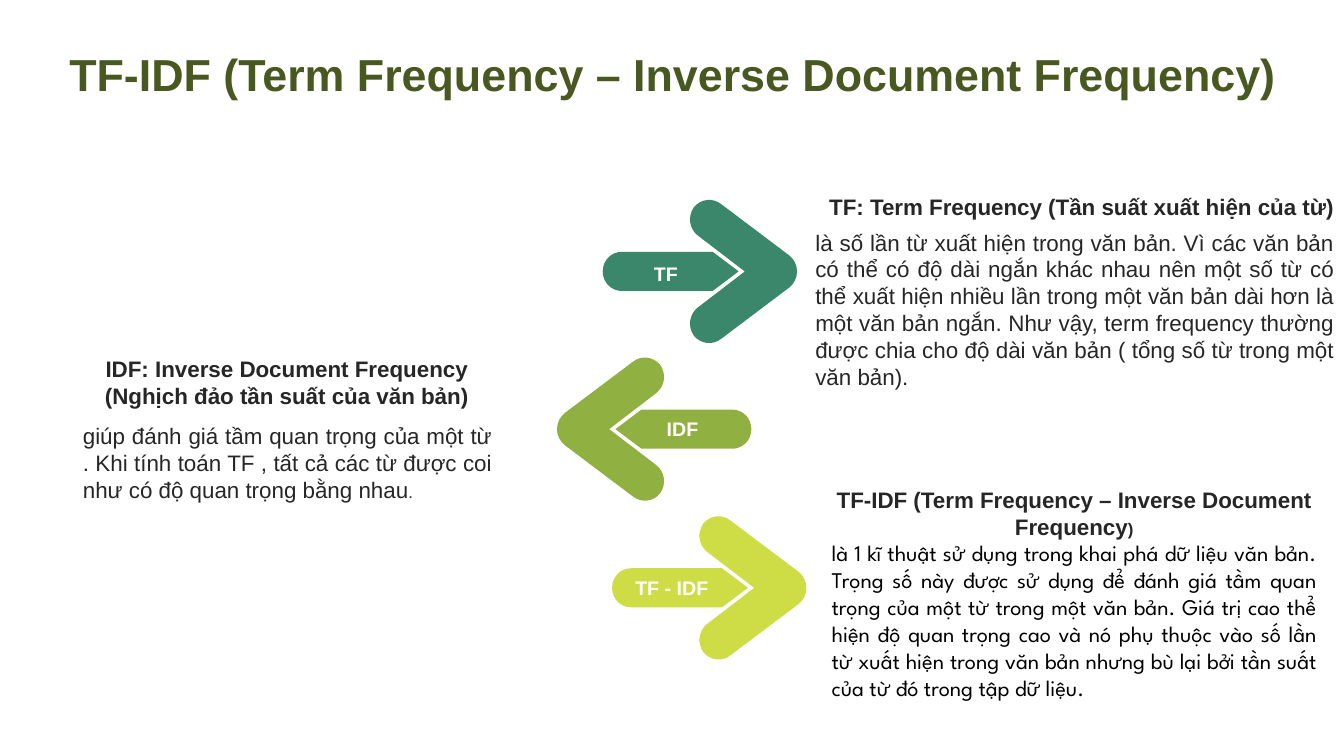
from math import cos, radians, sin

from pptx import Presentation
from pptx.dml.color import RGBColor
from pptx.enum.text import MSO_ANCHOR, MSO_AUTO_SIZE, PP_ALIGN
from pptx.oxml.ns import qn
from pptx.util import Pt

HEAD = [[(69.7, 0)], [(69.7, 4.5), (67.7, 8.6), (64.1, 11.5)], [(15.8, 47.9)],
        [(9.6, 53), (0.9, 51.9), (-4, 45.8)],
        [(-8.6, 39.2), (-7.2, 30.6), (-1.4, 25.9)], [(32.4, 0)]]
SHAFT = [[(28, 0)], [(9.4, 14)], [(-55.4, 14)], [(-63, 14), (-69.1, 7.9), (-69.1, 0)]]
PARTS = [(HEAD, 142.9), (SHAFT, 90)]

ARROWS = [
    ("TF", "3A876B", (499.6, 193.9), 0, (475.6, 195.5)),
    ("IDF", "90B141", (467.6, 306.5), 180, (487.5, 306.4)),
    ("TF - IDF", "CEDD46", (506.3, 419.9), 0, (479.9, 420)),
]
SECTIONS = [
    dict(box=(575, 134.3, 385, 149.3), offset=(0.3, 25.5), align=PP_ALIGN.RIGHT,
         heading=[("TF: Term Frequency (Tần suất xuất hiện của từ)", 16)],
         body=[("là số lần từ xuất hiện trong văn bản. Vì các văn bản có thể có độ dài "
                "ngắn khác nhau nên một số từ có thể xuất hiện nhiều lần trong một văn bản "
                "dài hơn là một văn bản ngắn. Như vậy, term frequency thường được chia cho "
                "độ dài văn bản ( tổng số từ trong một văn bản).", 16)]),
    dict(box=(51.2, 250.1, 307.4, 113.6), offset=(0.9, 48), align=PP_ALIGN.CENTER,
         heading=[("IDF: Inverse Document Frequency (Nghịch đảo tần suất của văn bản)", 16)],
         body=[("giúp đánh giá tầm quan trọng của một từ . Khi tính toán TF , tất cả các "
                "từ được coi như có độ quan trọng bằng nhau", 16), (".", 12)]),
    dict(box=(586.8, 343.7, 361, 181.5), offset=(0.2, 38.1), align=PP_ALIGN.CENTER,
         heading=[("TF-IDF (Term Frequency – Inverse Document Frequency", 16), (")", 12)],
         body=[("là 1 kĩ thuật sử dụng trong khai phá dữ liệu văn bản. Trọng số này được "
                "sử dụng để đánh giá tầm quan trọng của một từ trong một văn bản. Giá trị "
                "cao thể hiện độ quan trọng cao và nó phụ thuộc vào số lần từ xuất hiện "
                "trong văn bản nhưng bù lại bởi tần suất của từ đó trong tập dữ liệu.", 16)],
         body_font="League Spartan", body_color="000000"),
]


def color(value):
    return RGBColor.from_string(value)


def add_text(slide, box, runs, fill, align, bold=False, font="Arial",
             inset=7.2, anchor=MSO_ANCHOR.TOP, auto_size=MSO_AUTO_SIZE.SHAPE_TO_FIT_TEXT):
    tf = slide.shapes.add_textbox(*map(Pt, box)).text_frame
    tf.word_wrap = True
    tf.auto_size = auto_size
    tf.vertical_anchor = anchor
    tf.margin_left = tf.margin_right = Pt(inset)
    p = tf.paragraphs[0]
    p.alignment = align
    p.font.name = font
    p.font.bold = bold
    p.font.color.rgb = color(fill)
    for text, size in runs:
        r = p.add_run()
        r.text = text
        r.font.size = Pt(size)
    return p


def rotate(point, angle):
    x, y = point
    c, s = cos(radians(angle)), sin(radians(angle))
    return x * c - y * s, x * s + y * c


def mirror_half(half):
    back = []
    for before, segment in zip(half[-2::-1], half[:0:-1]):
        points = segment[-2::-1] + [before[-1]]
        back.append([(x, -y) for x, y in points])
    return half + back


def curve_segments(sp, segments):
    path = next(sp._element.iter(qn("a:path")))
    lines = iter(path.findall(qn("a:lnTo")))
    for segment in segments:
        first = next(lines)
        if len(segment) == 3:
            first.tag = qn("a:cubicBezTo")
            for _ in range(2):
                line = next(lines)
                first.append(line[0])
                path.remove(line)


def add_part(slide, half, angle, turn, center, fill):
    outline = mirror_half(half)
    points = [tuple(map(Pt, rotate(p, -angle))) for segment in outline for p in segment]
    builder = slide.shapes.build_freeform(*points[0])
    builder.add_line_segments(points[1:], close=True)
    sp = builder.convert_to_shape()
    curve_segments(sp, outline[1:])
    middle = (sp.left + sp.width / 2, sp.top + sp.height / 2)
    dx, dy = rotate(middle, angle + turn)
    sp.left = int(Pt(center[0]) + dx - sp.width / 2)
    sp.top = int(Pt(center[1]) + dy - sp.height / 2)
    sp.rotation = angle + turn
    sp.shadow.inherit = False
    sp.fill.solid()
    sp.fill.fore_color.rgb = color(fill)
    sp.line.fill.background()


def add_arrow(slide, label, fill, center, turn, label_center):
    for half, angle in PARTS:
        add_part(slide, half, angle, turn, center, fill)
    x, y = label_center
    add_text(slide, (x - 52, y - 12.1, 104, 24.2), [(label, 14)], "FFFFFF",
             PP_ALIGN.CENTER, bold=True, inset=8.64)


def add_section(slide, box, offset, align, heading, body,
                body_font="Arial", body_color="262626"):
    x, y, w, h = box
    dx, dy = offset
    add_text(slide, (x + dx, y + dy, w - dx, h - dy), body, body_color,
             PP_ALIGN.JUSTIFY, font=body_font)
    add_text(slide, (x, y, w, 46), heading, "262626", align, bold=True)


def add_title(slide, box):
    p = add_text(slide, box, [("TF-IDF (Term Frequency – Inverse Document Frequency)", 32)],
                 "485820", PP_ALIGN.CENTER, bold=True, anchor=MSO_ANCHOR.MIDDLE,
                 auto_size=MSO_AUTO_SIZE.NONE)
    p.line_spacing = 0.9


def main():
    prs = Presentation()
    prs.slide_width, prs.slide_height = Pt(960), Pt(540)
    slide = prs.slides.add_slide(prs.slide_layouts[6])
    add_title(slide, (25.2, 26.6, 911.5, 56.9))
    for arrow in ARROWS:
        add_arrow(slide, *arrow)
    for section in SECTIONS:
        add_section(slide, **section)
    prs.save("out.pptx")


if __name__ == "__main__":
    main()
